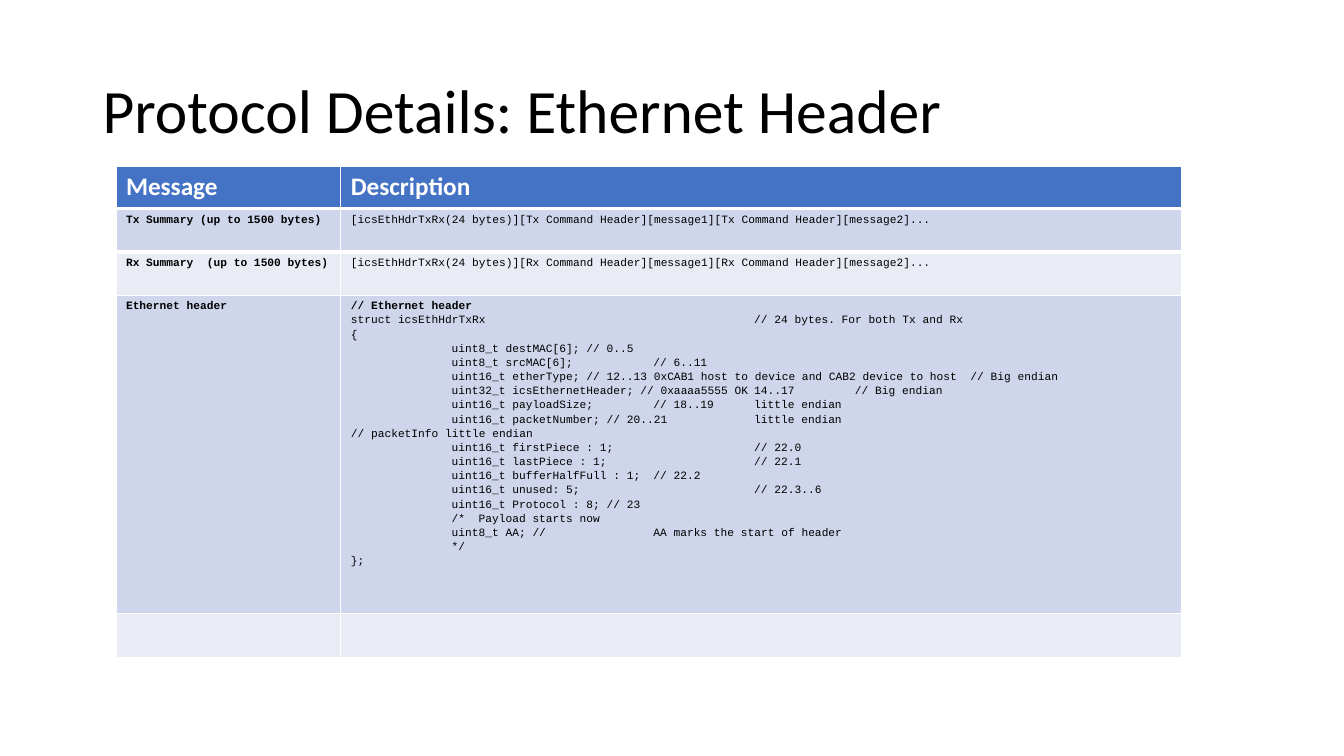
from lxml import etree
from pptx import Presentation
from pptx.dml.color import RGBColor
from pptx.enum.text import MSO_ANCHOR
from pptx.oxml.ns import qn
from pptx.util import Inches, Pt

MIDDLE = MSO_ANCHOR.MIDDLE

TITLE = "Protocol Details: Ethernet Header"
HEADINGS = ("Message", "Description")
HEADER_STRUCT = [
    "// Ethernet header",
    "struct icsEthHdrTxRx\t\t\t// 24 bytes. For both Tx and Rx",
    "{",
    "\tuint8_t destMAC[6]; // 0..5",
    "\tuint8_t srcMAC[6];\t// 6..11",
    "\tuint16_t etherType; // 12..13 0xCAB1 host to device and CAB2 device to host  // Big endian",
    "\tuint32_t icsEthernetHeader; // 0xaaaa5555 OK\t14..17\t// Big endian",
    "\tuint16_t payloadSize;\t// 18..19\tlittle endian",
    "\tuint16_t packetNumber; // 20..21\tlittle endian",
    "// packetInfo little endian",
    "\tuint16_t firstPiece : 1;\t\t// 22.0",
    "\tuint16_t lastPiece : 1;\t\t// 22.1",
    "\tuint16_t bufferHalfFull : 1;\t// 22.2",
    "\tuint16_t unused: 5;\t\t// 22.3..6",
    "\tuint16_t Protocol : 8; // 23",
    "\t/*  Payload starts now",
    "\tuint8_t AA; //\t\tAA marks the start of header",
    "\t*/",
    "};",
]
MESSAGES = [
    ("Tx Summary (up to 1500 bytes)",
     ["[icsEthHdrTxRx(24 bytes)][Tx Command Header][message1][Tx Command Header][message2]..."]),
    ("Rx Summary  (up to 1500 bytes)",
     ["[icsEthHdrTxRx(24 bytes)][Rx Command Header][message1][Rx Command Header][message2]..."]),
    ("Ethernet header", HEADER_STRUCT),
    ("", []),
]
COLUMN_WIDTHS = (2.23, 8.34)
ROW_HEIGHTS = (0.42, 0.43, 0.43, 3.16, 0.43)
BANDS = ("CFD5EA", "E9EBF5")
TAB_COUNT = 7


def color(code):
    return RGBColor.from_string(code)


def style(para, size, font, code, bold=False):
    for span in para.runs:
        span.font.size = Pt(size)
        span.font.name = font
        span.font.bold = bold
        span.font.color.rgb = color(code)


def fill_cell(cell, code):
    cell.fill.solid()
    cell.fill.fore_color.rgb = color(code)


def set_border(cell, side, width, code):
    properties = cell._tc.get_or_add_tcPr()
    line = etree.Element(qn("a:" + side), w=str(Pt(width)))
    fill = etree.SubElement(line, qn("a:solidFill"))
    etree.SubElement(fill, qn("a:srgbClr"), val=code)
    properties.insert(0, line)


def set_inch_tabs(para):
    properties = para._p.get_or_add_pPr()
    properties.set("defTabSz", str(Inches(1)))
    tabs = etree.SubElement(properties, qn("a:tabLst"))
    for stop in range(1, TAB_COUNT + 1):
        etree.SubElement(tabs, qn("a:tab"), pos=str(Inches(stop)), algn="l")


def write_code(cell, lines, bold_lines):
    cell.text_frame.text = "\n".join(lines)
    for para in cell.text_frame.paragraphs:
        para.space_before = Pt(1)
        if "\t" in para.text:
            set_inch_tabs(para)
        style(para, 8, "Courier New", "000000", para.text in bold_lines)


def add_title(page):
    box = page.shapes.add_textbox(Inches(0.92), Inches(0.4), Inches(11.5), Inches(1.45))
    frame = box.text_frame
    frame.word_wrap = True
    frame.vertical_anchor = MIDDLE
    frame.text = TITLE
    frame.paragraphs[0].line_spacing = 0.9
    style(frame.paragraphs[0], 44, "Calibri", "000000")


def add_message_table(page):
    table = page.shapes.add_table(
        len(ROW_HEIGHTS), len(COLUMN_WIDTHS), Inches(1.15), Inches(1.65),
        Inches(sum(COLUMN_WIDTHS)), Inches(sum(ROW_HEIGHTS))).table
    for column, width in zip(table.columns, COLUMN_WIDTHS):
        column.width = Inches(width)
    for row, height in zip(table.rows, ROW_HEIGHTS):
        row.height = Inches(height)

    for index, heading in enumerate(HEADINGS):
        cell = table.cell(0, index)
        fill_cell(cell, "4472C4")
        set_border(cell, "lnB", 3, "FFFFFF")
        set_border(table.cell(1, index), "lnT", 3, "FFFFFF")
        cell.text_frame.text = heading
        style(cell.text_frame.paragraphs[0], 18, "Calibri", "FFFFFF", True)

    for index, (name, lines) in enumerate(MESSAGES):
        name_cell, detail_cell = table.rows[index + 1].cells
        for cell in (name_cell, detail_cell):
            fill_cell(cell, BANDS[index % 2])
        if name:
            write_code(name_cell, [name], [name])
            write_code(detail_cell, lines, HEADER_STRUCT[:1])


def main():
    deck = Presentation()
    deck.slide_width = Inches(13.33)
    deck.slide_height = Inches(7.5)
    page = deck.slides.add_slide(deck.slide_layouts[6])
    add_title(page)
    add_message_table(page)
    deck.save("out.pptx")


if __name__ == "__main__":
    main()
